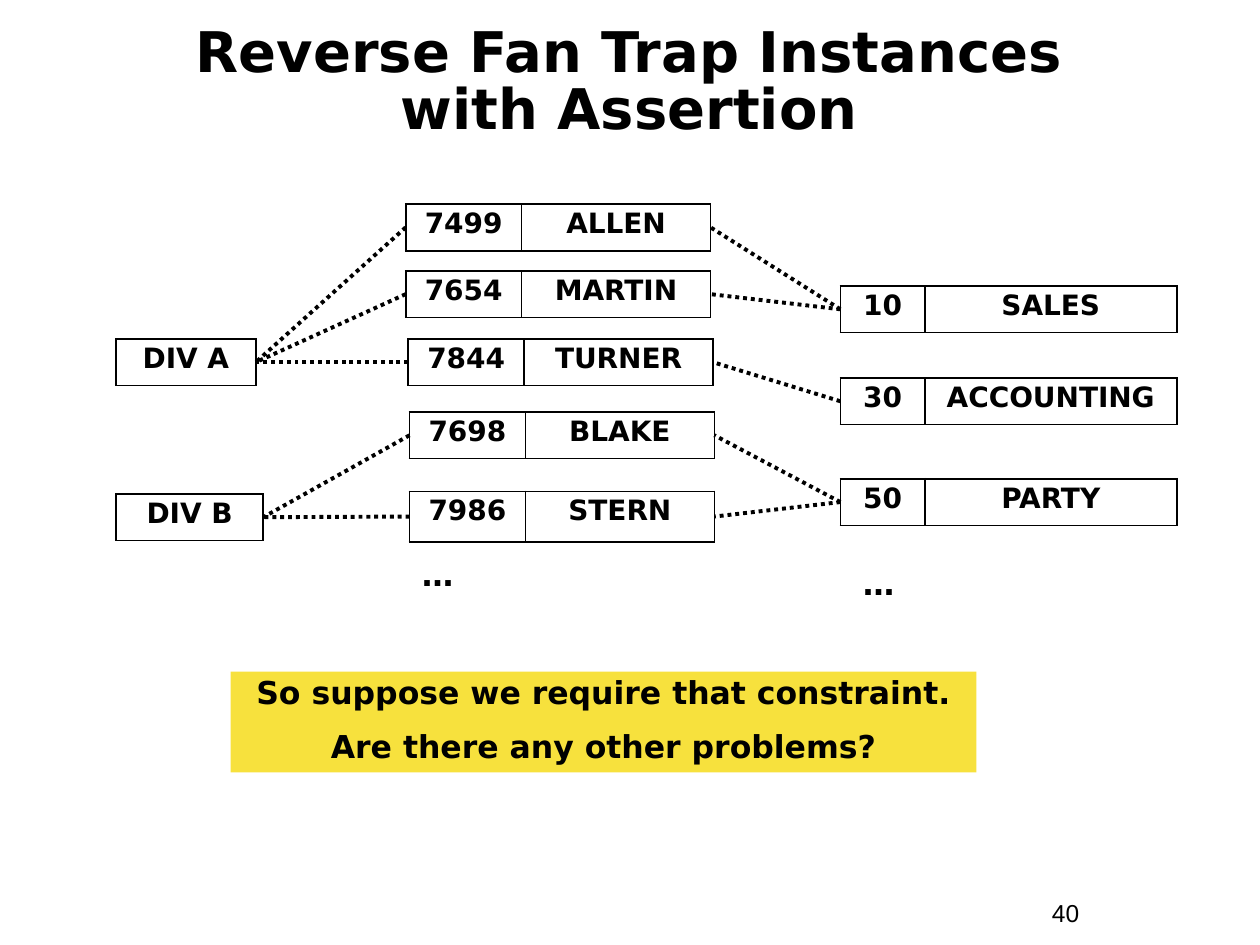
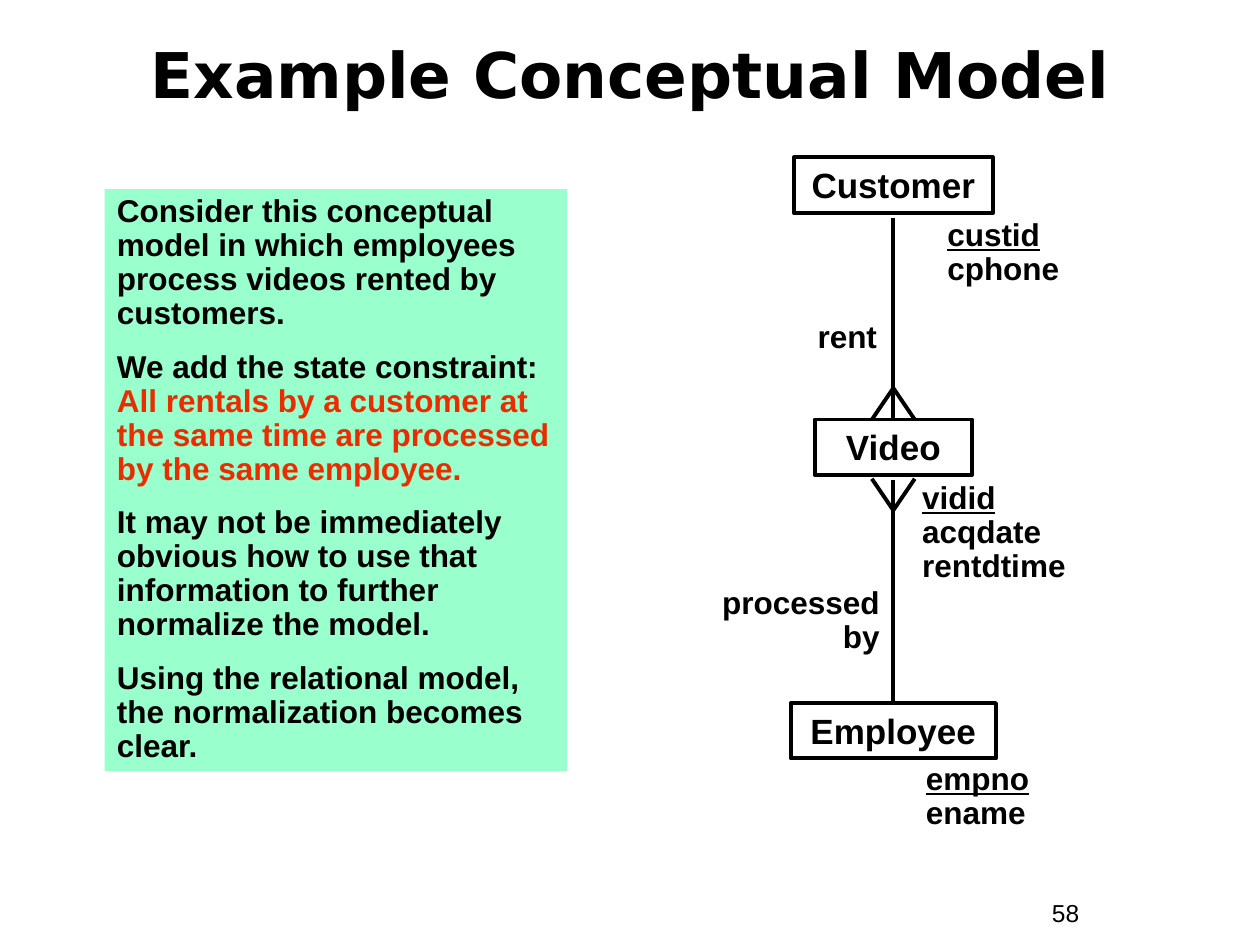
from copy import deepcopy

from lxml import etree
from pptx import Presentation
from pptx import util as u
from pptx.dml import color
from pptx.enum import dml, shapes, text
from pptx.oxml import ns

BLACK, YELLOW, MINT, RED = "000000", "F7E13D", "99FFCC", "EA2D00"
SANS, ARIAL = "DejaVu Sans", "Arial"
LEFT, CENTER, RIGHT = text.PP_ALIGN.LEFT, text.PP_ALIGN.CENTER, text.PP_ALIGN.RIGHT
RULE = 2.25
BORDER = 1.08
UNDERLINED = {"underline": True}


def rgb(value):
    return color.RGBColor.from_string(value)


def apply(target, values):
    for name, value in values.items():
        setattr(target, name, value)


def box(left, top, width, height):
    return [u.Inches(value) for value in (left, top, width, height)]


def font_format(name, size, bold=True):
    return {"name": name, "size": u.Pt(size), "bold": bold}


class Deck:
    margins = {
        "margin_left": u.Inches(0.1),
        "margin_right": u.Inches(0.1),
        "margin_top": u.Inches(0.05),
        "margin_bottom": u.Inches(0.05),
    }
    frame_format = {**margins, "word_wrap": True, "auto_size": text.MSO_AUTO_SIZE.NONE}
    cell_text = font_format(SANS, 16)
    note_text = font_format(SANS, 18)
    entity_text = font_format(ARIAL, 20)
    label_text = font_format(ARIAL, 18)
    number_text = font_format(ARIAL, 14, False)

    def __init__(self):
        self.presentation = Presentation()
        self.presentation.slide_width = u.Inches(10)
        self.presentation.slide_height = u.Inches(7.5)
        self.slide = None

    def start(self, heading, place, size, number):
        layout = self.presentation.slide_layouts[5]
        self.slide = self.presentation.slides.add_slide(layout)
        title = self.slide.shapes.title
        title.left, title.top, title.width, title.height = box(*place)
        self.fill_frame(title.text_frame, [heading], font_format(SANS, size), CENTER, 0.85,
                        anchor=text.MSO_ANCHOR.MIDDLE)
        self.label([number], (8.25, 7.08, 0.92, 0.34), self.number_text, spacing=1.0)

    def fill_frame(self, frame, paragraphs, style, align=LEFT, spacing=0.9, gap=0,
                   anchor=text.MSO_ANCHOR.TOP):
        apply(frame, {**self.frame_format, "vertical_anchor": anchor})
        self.fill_paragraphs(frame, paragraphs, style, align, spacing, gap)

    def fill_paragraphs(self, frame, paragraphs, style, align, spacing, gap=0):
        for index, content in enumerate(paragraphs):
            paragraph = frame.add_paragraph() if index else frame.paragraphs[0]
            apply(paragraph, {"alignment": align, "line_spacing": spacing,
                              "space_before": u.Pt(gap if index else 0)})
            runs = [(content, {}, BLACK)] if isinstance(content, str) else content
            for words, changes, ink in runs:
                self.add_words(paragraph, words, {**style, **changes}, ink)

    def add_words(self, paragraph, words, style, ink):
        for index, line in enumerate(words.split("\n")):
            if index:
                paragraph.add_line_break()
                paragraph._p[-1].append(deepcopy(run._r.rPr))
            if line:
                run = paragraph.add_run()
                run.text = line
                apply(run.font, style)
                run.font.color.rgb = rgb(ink)

    def label(self, paragraphs, place, style, align=LEFT, spacing=0.9):
        frame = self.slide.shapes.add_textbox(*box(*place)).text_frame
        self.fill_frame(frame, paragraphs, style, align, spacing)

    def panel(self, paragraphs, place, style, fill=None, align=LEFT, spacing=0.9, gap=11.2):
        panel = self.slide.shapes.add_shape(shapes.MSO_SHAPE.RECTANGLE, *box(*place))
        panel.shadow.inherit = False
        if fill:
            panel.fill.solid()
            panel.fill.fore_color.rgb = rgb(fill)
            panel.line.fill.background()
        else:
            panel.fill.background()
            panel.line.color.rgb = rgb(BLACK)
            panel.line.width = u.Pt(RULE)
        self.fill_frame(panel.text_frame, paragraphs, style, align, spacing, gap)

    def record(self, values, left, top, widths, height=0.37):
        place = box(left, top, sum(widths), height)
        table = self.slide.shapes.add_table(1, len(values), *place).table
        apply(table, {"first_row": False, "horz_banding": False})
        table.rows[0].height = u.Inches(height)
        for column, cell, width, value in zip(table.columns, table.iter_cells(),
                                              widths, values):
            column.width = u.Inches(width)
            apply(cell, {**self.margins, "vertical_anchor": text.MSO_ANCHOR.TOP})
            self.fill_paragraphs(cell.text_frame, [value], self.cell_text, CENTER, 0.9)
            cell.fill.background()
            self.outline(cell)
        middle = top + height / 2
        return (left, middle), (left + sum(widths), middle)

    def outline(self, cell):
        properties = cell._tc.get_or_add_tcPr()
        for index, side in enumerate(("lnL", "lnR", "lnT", "lnB")):
            edge = etree.Element(ns.qn(f"a:{side}"), w=str(u.Pt(BORDER)))
            fill = etree.SubElement(edge, ns.qn("a:solidFill"))
            etree.SubElement(fill, ns.qn("a:srgbClr"), val=BLACK)
            properties.insert(index, edge)

    def line(self, start, end, dotted=False, parent=None):
        ends = [u.Inches(value) for value in (*start, *end)]
        owner = parent or self.slide.shapes
        line = owner.add_connector(shapes.MSO_CONNECTOR.STRAIGHT, *ends)
        line.line.color.rgb = rgb(BLACK)
        line.line.width = u.Pt(RULE)
        if dotted:
            line.line.dash_style = dml.MSO_LINE.ROUND_DOT
        etree.SubElement(line._element.spPr, ns.qn("a:effectLst"))

    def crow_foot(self, x, tip, base):
        foot = self.slide.shapes.add_group_shape().shapes
        for side in (-0.17, 0.17):
            self.line((x, tip), (x + side, base), parent=foot)


def fan_trap(deck):
    deck.start("Reverse Fan Trap Instances\nwith Assertion", (0.33, 0.25, 9.33, 0.83), 32, "40")
    divisions = {
        name: deck.record([name], 0.92, top, [width])
        for name, top, width in (("DIV A", 2.69, 1.11), ("DIV B", 3.92, 1.17))
    }
    departments = {
        number: deck.record([number, name], 6.67, top, [0.67, 2])
        for number, name, top in (("10", "SALES", 2.27), ("30", "ACCOUNTING", 3),
                                  ("50", "PARTY", 3.8))
    }
    employees = (
        ("7499", "ALLEN", 3.22, 1.62, 0.37, "DIV A", "10"),
        ("7654", "MARTIN", 3.22, 2.15, 0.37, "DIV A", "10"),
        ("7844", "TURNER", 3.24, 2.69, 0.37, "DIV A", "30"),
        ("7698", "BLAKE", 3.25, 3.27, 0.37, "DIV B", "50"),
        ("7986", "STERN", 3.25, 3.9, 0.4, "DIV B", "50"),
    )
    for number, name, left, top, height, division, department in employees:
        start, end = deck.record([number, name], left, top, [0.92, 1.5], height)
        deck.line(start, divisions[division][1], dotted=True)
        deck.line(departments[department][0], end, dotted=True)
    for left, top in ((3.25, 4.39), (6.75, 4.46)):
        deck.label(["…"], (left, top, 1.83, 0.37), deck.note_text)
    deck.panel(["So suppose we require that constraint.", "Are there any other problems?"],
               (1.83, 5.33, 5.92, 0.8), deck.note_text, YELLOW, CENTER)


def conceptual_model(deck):
    deck.start("Example Conceptual Model", (0.75, 0.17, 8.5, 0.92), 36, "58")
    axis = 7.09
    entities = (
        ("Customer", 1.25, 1.58, ("custid", "cphone"), (7.42, 1.69, 1.17, 0.64)),
        ("Video", 3.33, 1.25, ("vidid", "acqdate", "rentdtime"), (7.22, 3.78, 1.42, 0.91)),
        ("Employee", 5.58, 1.63, ("empno", "ename"), (7.25, 6.01, 1.17, 0.64)),
    )
    for name, top, width, (key, *others), place in entities:
        deck.panel([name], (axis - width / 2, top, width, 0.44), deck.entity_text,
                   align=CENTER, spacing=1.0)
        deck.label([[(key, UNDERLINED, BLACK)], *others], place, deck.label_text)
    for top, bottom in ((1.73, 3.32), (3.81, 5.57)):
        deck.line((axis, top), (axis, bottom))
    for tip, base in ((3.08, 3.33), (4.05, 3.8)):
        deck.crow_foot(axis, tip, base)
    deck.label(["rent"], (6.39, 2.5, 1.17, 0.37), deck.label_text)
    deck.label(["processed by"], (5.5, 4.61, 1.58, 0.64), deck.label_text, RIGHT)
    constraint = [
        ("We add the state constraint:\n", {}, BLACK),
        ("All rentals by a customer at the same time are processed by the same employee.",
         {}, RED),
    ]
    deck.panel([
        "Consider this conceptual model in which employees process videos rented by customers.",
        constraint,
        "It may not be immediately obvious how to use that information to further "
        "normalize the model.",
        "Using the relational model, the normalization becomes clear.",
    ], (0.83, 1.5, 3.67, 4.62), deck.label_text, MINT)


def main():
    deck = Deck()
    fan_trap(deck)
    conceptual_model(deck)
    deck.presentation.save("out.pptx")


if __name__ == "__main__":
    main()
